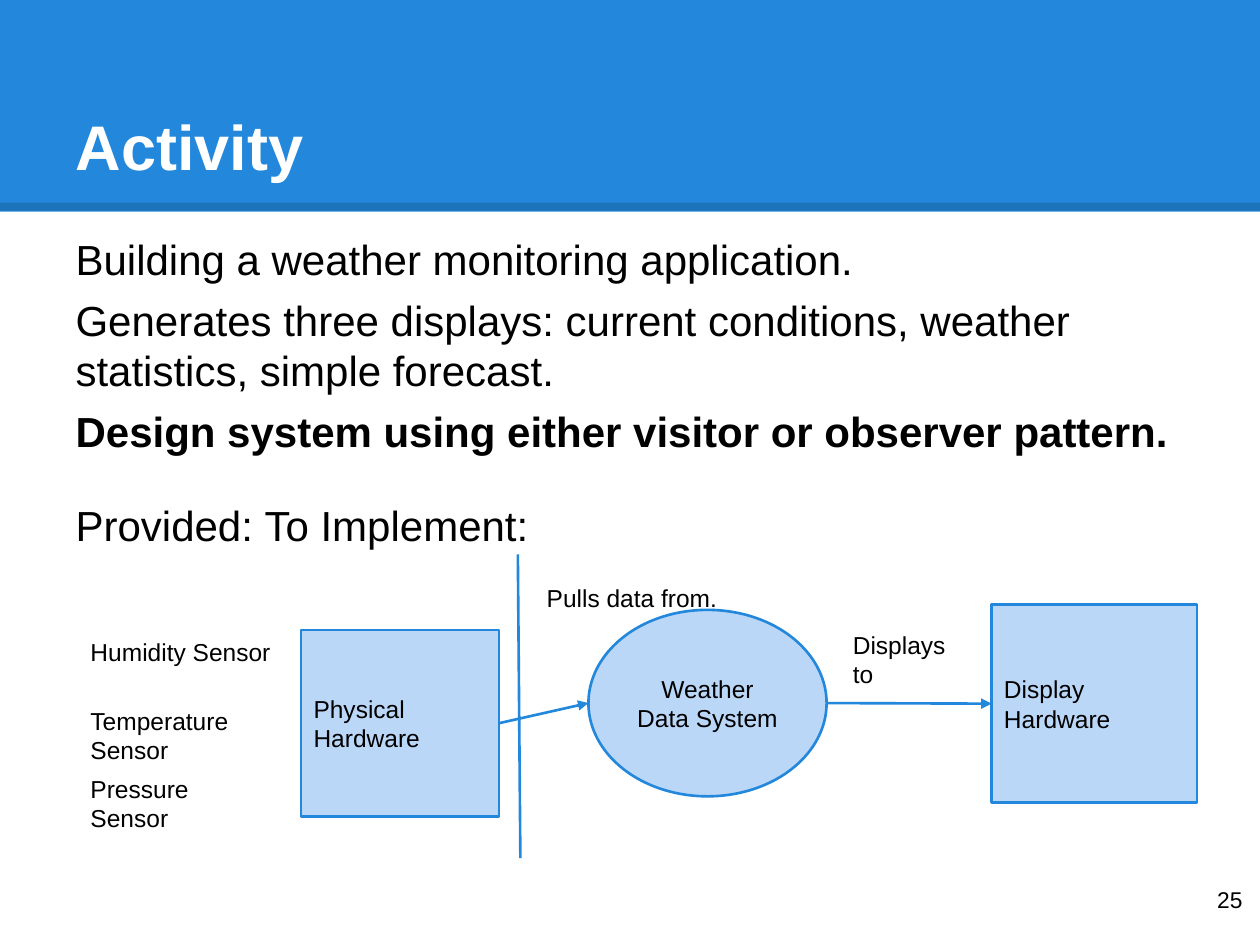
from lxml import etree
from pptx import Presentation, util as u
from pptx.dml.color import RGBColor
from pptx.enum import shapes, text
from pptx.oxml.ns import qn

BLUE, PALE, BLACK, WHITE = "2388DB", "BBD7F8", "000000", "FFFFFF"
LEFT, CENTER, RIGHT = text.PP_ALIGN.LEFT, text.PP_ALIGN.CENTER, text.PP_ALIGN.RIGHT
TOP, MIDDLE, BOTTOM = text.MSO_ANCHOR.TOP, text.MSO_ANCHOR.MIDDLE, text.MSO_ANCHOR.BOTTOM
RECT, OVAL = shapes.MSO_SHAPE.RECTANGLE, shapes.MSO_SHAPE.OVAL

TITLE = "Activity"
BODY = [  # text, bold, space before
    ("Building a weather monitoring application.", False, 0),
    ("Generates three displays: current conditions, weather statistics, simple forecast.", False, 6),
    ("Design system using either visitor or observer pattern.", True, 6),
    ("Provided:\tTo Implement:", False, 25),
]
SENSORS = ["Humidity Sensor", "Temperature Sensor", "Pressure Sensor"]
SENSOR_LEFT, SENSOR_TOP, SENSOR_STEP = 0.62, 4.96, 0.54
NODES = {  # name: (preset, box, alignment)
    "Physical Hardware": (RECT, (2.39, 5, 1.57, 1.48), LEFT),
    "Weather Data System": (OVAL, (4.67, 4.84, 1.89, 1.48), CENTER),
    "Display Hardware": (RECT, (7.87, 4.8, 1.63, 1.57), LEFT),
}
LABELS = [  # lines, box
    (["Pulls data from."], (4.24, 4.53, 3.79, 0.43)),
    (["Displays", "to"], (6.67, 4.9, 1.08, 0.43)),
]
PAGE_NUMBER = "25"


def rgb(value):
    return RGBColor.from_string(value)


def inches(values):
    return [u.Inches(v) for v in values]


def place(sp, box):
    sp.left, sp.top, sp.width, sp.height = inches(box)


def write(sp, lines, size, color=BLACK, align=LEFT, anchor=TOP):
    tf = sp.text_frame
    tf.word_wrap, tf.auto_size = True, text.MSO_AUTO_SIZE.NONE
    tf.vertical_anchor = anchor
    tf.margin_left = tf.margin_right = tf.margin_top = tf.margin_bottom = u.Inches(0.1)
    tf.text = "\n".join(lines)
    for p in tf.paragraphs:
        p.alignment = align
        p.font.name, p.font.size = "Arial", u.Pt(size)
        p.font.color.rgb = rgb(color)
    return tf


def add_label(s, lines, box, size=14, align=LEFT):
    write(s.shapes.add_textbox(*inches(box)), lines, size, align=align)


def add_filled(s, preset, box, fill, outline=None):
    sp = s.shapes.add_shape(preset, *inches(box))
    sp.shadow.inherit = False
    sp.fill.solid()
    sp.fill.fore_color.rgb = rgb(fill)
    if outline:
        sp.line.color.rgb, sp.line.width = rgb(outline), u.Pt(1.5)
    else:
        sp.line.fill.background()
    return sp


def add_line(s, start, end, color=BLUE, width=1.5, arrow=False, opacity=None):
    line = s.shapes.add_connector(shapes.MSO_CONNECTOR.STRAIGHT, *inches(start + end))
    line.line.color.rgb, line.line.width = rgb(color), u.Pt(width)
    ln = line.line._ln
    if opacity:
        etree.SubElement(ln.find(".//" + qn("a:srgbClr")), qn("a:alpha"), val=str(opacity * 1000))
    if arrow:
        etree.SubElement(ln, qn("a:tailEnd"), type="triangle")
    etree.SubElement(line._element.spPr, qn("a:effectLst"))
    return line


def left_side(box):
    x, y, w, h = box
    return x, y + h / 2


def right_side(box):
    x, y, w, h = box
    return x + w, y + h / 2


def add_header(s):
    band = add_filled(s, RECT, (0, 0, 10, 1.68), BLUE)
    edge = add_line(s, (0, 1.64), (10, 1.64), BLACK, 4.5, opacity=15)
    for depth, sp in enumerate((band, edge)):  # behind the title
        s.shapes._spTree.insert(2 + depth, sp._element)
    place(s.shapes.title, (0.5, 0.3, 9, 1.25))
    tf = write(s.shapes.title, [TITLE], 36, WHITE, anchor=BOTTOM)
    tf.paragraphs[0].font.bold = True


def add_body(s):
    body = s.placeholders[1]
    place(body, (0.5, 1.75, 9, 2.9))
    tf = write(body, [line for line, _, _ in BODY], 24)
    for p, (_, bold, before) in zip(tf.paragraphs, BODY):
        p.font.bold, p.space_before = bold, u.Pt(before)
        pPr = p._p.get_or_add_pPr()
        pPr.set("marL", "0")
        pPr.set("indent", "0")
        bullet = etree.Element(qn("a:buNone"))
        tabs = etree.Element(qn("a:tabLst"))
        etree.SubElement(tabs, qn("a:tab"), pos=str(u.Inches(6)), algn="l")
        font = pPr.find(qn("a:defRPr"))
        font.addprevious(bullet)
        font.addprevious(tabs)


def add_diagram(s):
    for row, sensor in enumerate(SENSORS):
        add_label(s, [sensor], (SENSOR_LEFT, SENSOR_TOP + row * SENSOR_STEP, 1.63, 0.43))
    for name, (preset, box, align) in NODES.items():
        write(add_filled(s, preset, box, PALE, BLUE), [name], 14, align=align, anchor=MIDDLE)
    boxes = [box for _, box, _ in NODES.values()]
    for source, target in zip(boxes, boxes[1:]):
        add_line(s, right_side(source), left_side(target), arrow=True)
    add_line(s, (4.11, 4.4), (4.13, 6.81))
    for lines, box in LABELS:
        add_label(s, lines, box)


def main():
    prs = Presentation()
    prs.slide_width, prs.slide_height = inches((10, 7.5))
    s = prs.slides.add_slide(prs.slide_layouts[1])
    add_header(s)
    add_body(s)
    add_diagram(s)
    add_label(s, [PAGE_NUMBER], (9.36, 6.93, 0.6, 0.57), 13, RIGHT)
    prs.save("out.pptx")


if __name__ == "__main__":
    main()
